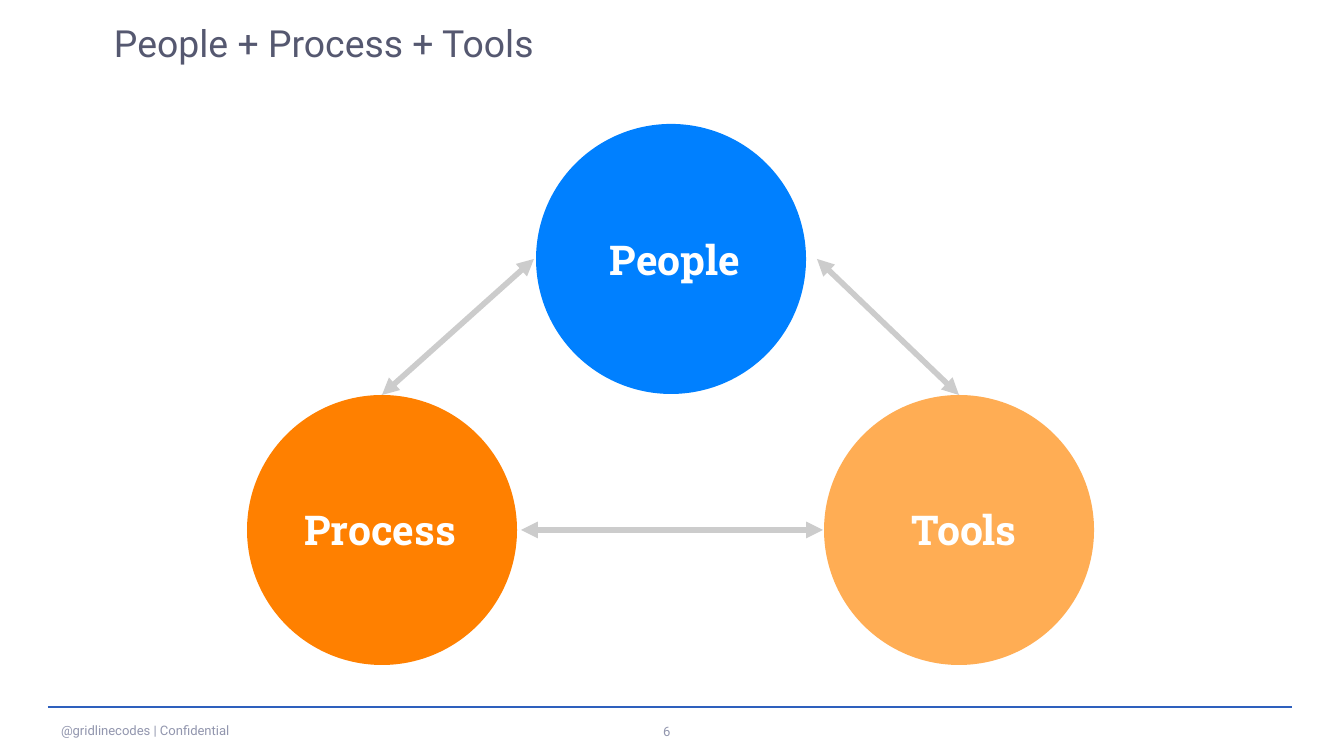
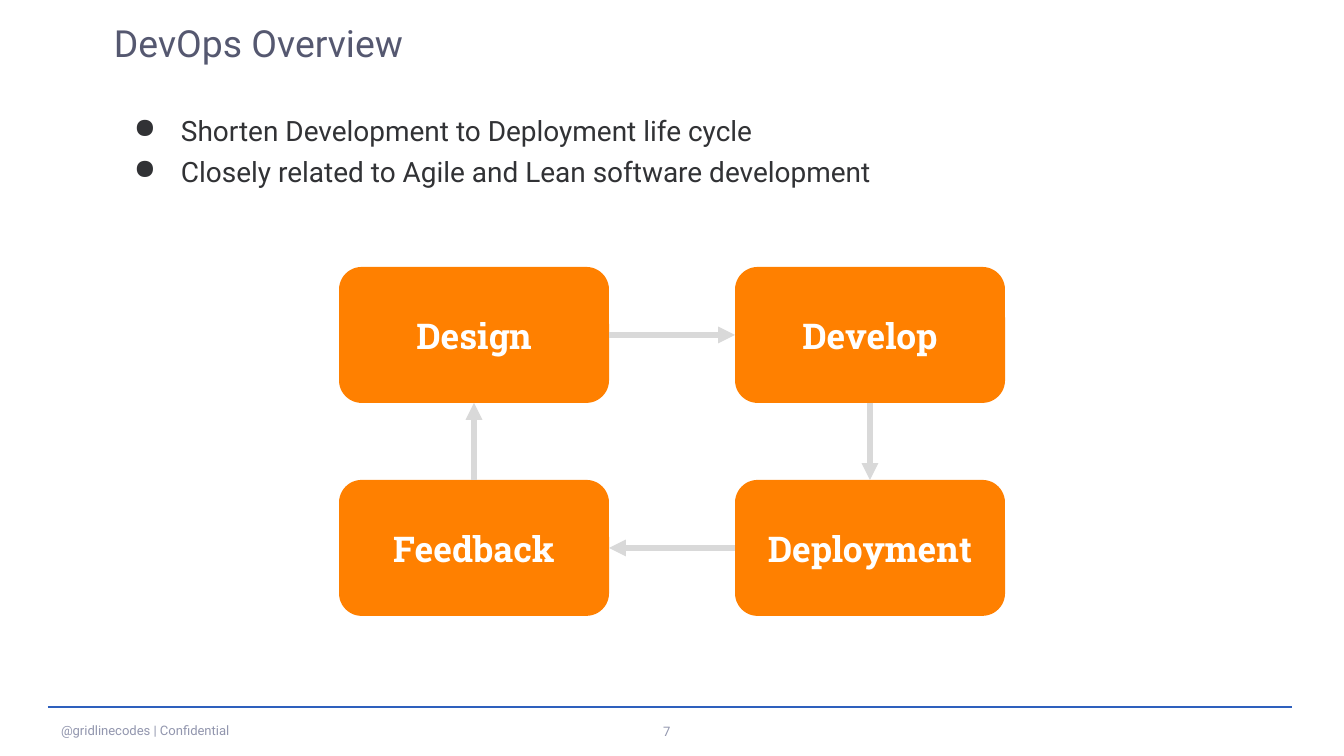
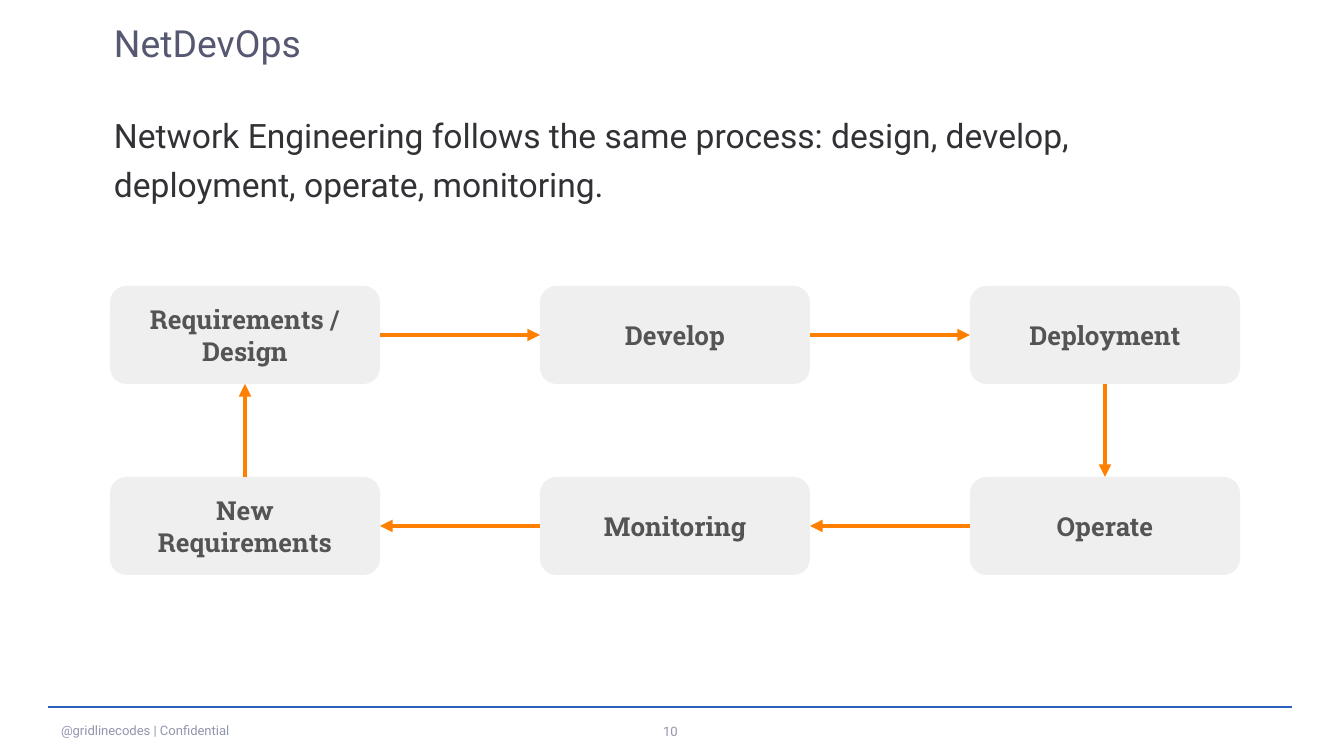
from dataclasses import dataclass
from itertools import pairwise
from typing import NamedTuple

from lxml.etree import SubElement
from pptx import Presentation
from pptx.dml.color import RGBColor
from pptx.enum.shapes import MSO_CONNECTOR as Connector
from pptx.enum.shapes import MSO_SHAPE as Preset
from pptx.enum.text import MSO_ANCHOR as Anchor
from pptx.enum.text import MSO_AUTO_SIZE as AutoSize
from pptx.enum.text import PP_ALIGN as Align
from pptx.oxml.ns import qn
from pptx.util import Emu, Pt

SLIDE_WIDTH, SLIDE_HEIGHT = 1344, 756
EMU_PER_PX = 9144000 / SLIDE_WIDTH
TOP, LEFT, BOTTOM, RIGHT = range(4)


class TextStyle(NamedTuple):
    size: int
    color: str
    font: str = "Roboto"
    bold: bool = False
    align: Align = Align.LEFT
    line_spacing: float = 1.0


def label_style(size: int, color: str) -> TextStyle:
    return TextStyle(size, color, "Roboto Slab", True, Align.CENTER)


@dataclass(frozen=True)
class Theme:
    blue: str = "0080FF"
    orange: str = "FF8000"
    light_orange: str = "FFAD54"
    pale_gray: str = "EFEFEF"
    rule: str = "2E60BD"
    triangle_arrow: str = "CCCCCC"
    cycle_arrow: str = "D9D9D9"
    title: TextStyle = TextStyle(20, "555870", line_spacing=0.9)
    footer: TextStyle = TextStyle(7, "9296AE")
    bullet: TextStyle = TextStyle(15, "313235", line_spacing=1.22)
    body: TextStyle = TextStyle(18, "313235", line_spacing=1.22)
    circle_label: TextStyle = label_style(22, "FFFFFF")
    large_label: TextStyle = label_style(19, "FFFFFF")
    small_label: TextStyle = label_style(14, "545454")


THEME = Theme()


class Box(NamedTuple):
    left: int
    top: int
    width: int
    height: int


class Circle(NamedTuple):
    label: str
    left: int
    top: int
    color: str
    label_left: int
    label_top: int


class Arrow(NamedTuple):
    start: tuple[int, int]
    end: tuple[int, int]


@dataclass(frozen=True)
class Cycle:
    """Boxes on two rows, read clockwise from the top left."""
    top_labels: tuple[str, ...]
    bottom_labels: tuple[str, ...]
    first: Box
    column_step: int
    row_step: int
    fill: str
    label: TextStyle
    arrow_color: str
    arrow_width: float


TITLE_BOX = Box(101, 19, 1191, 52)
FOOTER_BOX = Box(48, 715, 210, 30)
NUMBER_BOX = Box(650, 716, 43, 30)
FOOTER_RULE = Arrow((48, 707), (1292, 707))
FOOTER_TEXT = "@gridlinecodes | Confidential"
BULLETS_BOX = Box(101, 93, 1141, 102)
BODY_BOX = Box(101, 93, 1141, 117)
BULLET_MARGIN, BULLET_HANGING = 67, 47
INSET, NARROW_INSET = 13, 7

DIAMETER = 270
LABEL_WIDTH, LABEL_HEIGHT = 282, 97
CIRCLES = (
    Circle("Process", 247, 395, THEME.orange, 239, 481),
    Circle("People", 536, 124, THEME.blue, 534, 211),
    Circle("Tools", 824, 395, THEME.light_orange, 823, 481),
)
TRIANGLE_ARROWS = (
    Arrow((382, 395), (534, 259)),
    Arrow((817, 259), (959, 395)),
    Arrow((521, 530), (823, 530)),
)

DEVOPS_CYCLE = Cycle(
    ("Design", "Develop"), ("Deployment", "Feedback"),
    Box(339, 267, 270, 136), 396, 213,
    THEME.orange, THEME.large_label, THEME.cycle_arrow, 3,
)
NETDEVOPS_CYCLE = Cycle(
    ("Requirements / Design", "Develop", "Deployment"),
    ("Operate", "Monitoring", "New Requirements"),
    Box(110, 286, 270, 98), 430, 191,
    THEME.pale_gray, THEME.small_label, THEME.orange, 2.25,
)


def px(length: int) -> Emu:
    return Emu(round(length * EMU_PER_PX))


def place(box: Box) -> tuple[Emu, ...]:
    return tuple(px(length) for length in box)


def set_bullet(paragraph, color: str) -> None:
    properties = paragraph._p.get_or_add_pPr()
    properties.set("marL", str(px(BULLET_MARGIN)))
    properties.set("indent", str(-px(BULLET_HANGING)))
    bullet_color = SubElement(properties, qn("a:buClr"))
    SubElement(bullet_color, qn("a:srgbClr"), val=color)
    SubElement(properties, qn("a:buChar"), char="●")


def write(shape, lines: tuple[str, ...], style: TextStyle, anchor: Anchor,
          inset: int = INSET, bulleted: bool = False) -> None:
    frame = shape.text_frame
    frame.word_wrap = True
    frame.vertical_anchor = anchor
    frame.margin_left = frame.margin_right = px(INSET)
    frame.margin_top = frame.margin_bottom = px(inset)
    frame.text = "\n".join(lines)
    for paragraph in frame.paragraphs:
        paragraph.alignment = style.align
        paragraph.line_spacing = style.line_spacing
        if bulleted:
            set_bullet(paragraph, style.color)
        font = paragraph.font
        font.name, font.size, font.bold = style.font, Pt(style.size), style.bold
        font.color.rgb = RGBColor.from_string(style.color)


def add_text(slide, box: Box, lines: tuple[str, ...], style: TextStyle,
             anchor: Anchor = Anchor.TOP, inset: int = INSET,
             bulleted: bool = False):
    text_box = slide.shapes.add_textbox(*place(box))
    write(text_box, lines, style, anchor, inset, bulleted)
    if anchor == Anchor.TOP:
        text_box.text_frame.auto_size = AutoSize.SHAPE_TO_FIT_TEXT
    return text_box


def add_filled(slide, preset: Preset, box: Box, color: str):
    shape = slide.shapes.add_shape(preset, *place(box))
    shape.shadow.inherit = False
    shape.fill.solid()
    shape.fill.fore_color.rgb = RGBColor.from_string(color)
    shape.line.fill.background()
    return shape


def add_line(slide, path: Arrow, color: str, width: float,
             heads: tuple[str, ...] = ()):
    connector = slide.shapes.add_connector(
        Connector.STRAIGHT, *map(px, path.start + path.end))
    connector.line.color.rgb = RGBColor.from_string(color)
    connector.line.width = Pt(width)
    for head in heads:
        SubElement(connector.line._get_or_add_ln(), qn(head), type="triangle")
    SubElement(connector._element.spPr, qn("a:effectLst"))
    return connector


def add_slide(presentation, title: str, number: int):
    slide = presentation.slides.add_slide(presentation.slide_layouts[6])
    add_line(slide, FOOTER_RULE, THEME.rule, 1)
    for box, text in ((FOOTER_BOX, FOOTER_TEXT), (NUMBER_BOX, str(number))):
        add_text(slide, box, (text,), THEME.footer, inset=NARROW_INSET)
    add_text(slide, TITLE_BOX, (title,), THEME.title, Anchor.MIDDLE, NARROW_INSET)
    return slide


def add_circles(slide) -> None:
    for circle in CIRCLES:
        box = Box(circle.left, circle.top, DIAMETER, DIAMETER)
        add_filled(slide, Preset.OVAL, box, circle.color)
    for circle in CIRCLES:
        box = Box(circle.label_left, circle.label_top, LABEL_WIDTH, LABEL_HEIGHT)
        add_text(slide, box, (circle.label,), THEME.circle_label, Anchor.MIDDLE)
    for arrow in TRIANGLE_ARROWS:
        add_line(slide, arrow, THEME.triangle_arrow, 3, ("a:headEnd", "a:tailEnd"))


def facing_sides(source, target) -> tuple[int, int]:
    if source.top == target.top:
        return (RIGHT, LEFT) if source.left < target.left else (LEFT, RIGHT)
    return (BOTTOM, TOP) if source.top < target.top else (TOP, BOTTOM)


def add_cycle(slide, cycle: Cycle) -> None:
    # Boxes
    columns = range(len(cycle.top_labels))
    cells = [(column, 0) for column in columns]
    cells += [(column, 1) for column in reversed(columns)]
    steps = []
    for label, (column, row) in zip(cycle.top_labels + cycle.bottom_labels, cells):
        box = cycle.first._replace(
            left=cycle.first.left + column * cycle.column_step,
            top=cycle.first.top + row * cycle.row_step)
        step = add_filled(slide, Preset.ROUNDED_RECTANGLE, box, cycle.fill)
        write(step, (label,), cycle.label, Anchor.MIDDLE)
        steps.append(step)

    # Arrows from each box to the next, and back to the first
    for source, target in pairwise(steps + steps[:1]):
        arrow = add_line(slide, Arrow((0, 0), (0, 0)), cycle.arrow_color,
                         cycle.arrow_width, ("a:tailEnd",))
        source_side, target_side = facing_sides(source, target)
        arrow.begin_connect(source, source_side)
        arrow.end_connect(target, target_side)


def main() -> None:
    presentation = Presentation()
    presentation.slide_width = px(SLIDE_WIDTH)
    presentation.slide_height = px(SLIDE_HEIGHT)

    # People, process and tools
    slide = add_slide(presentation, "People + Process + Tools", 6)
    add_circles(slide)

    # DevOps
    slide = add_slide(presentation, "DevOps Overview", 7)
    add_text(slide, BULLETS_BOX, (
        "Shorten Development to Deployment life cycle",
        "Closely related to Agile and Lean software development",
    ), THEME.bullet, bulleted=True)
    add_cycle(slide, DEVOPS_CYCLE)

    # NetDevOps
    slide = add_slide(presentation, "NetDevOps", 10)
    add_text(slide, BODY_BOX, (
        "Network Engineering follows the same process: design, develop, "
        "deployment, operate, monitoring.",
    ), THEME.body)
    add_cycle(slide, NETDEVOPS_CYCLE)

    presentation.save("out.pptx")


if __name__ == "__main__":
    main()
